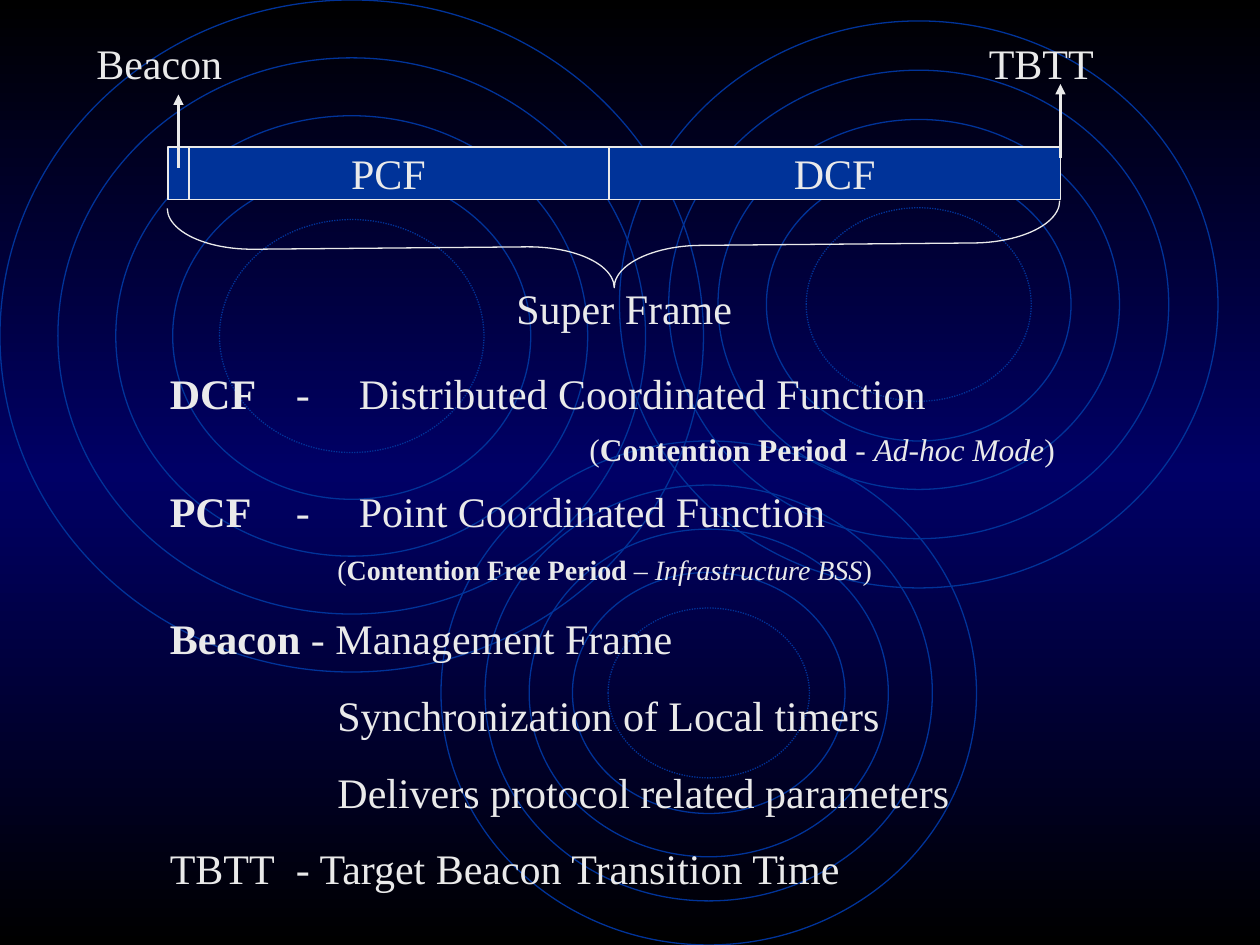
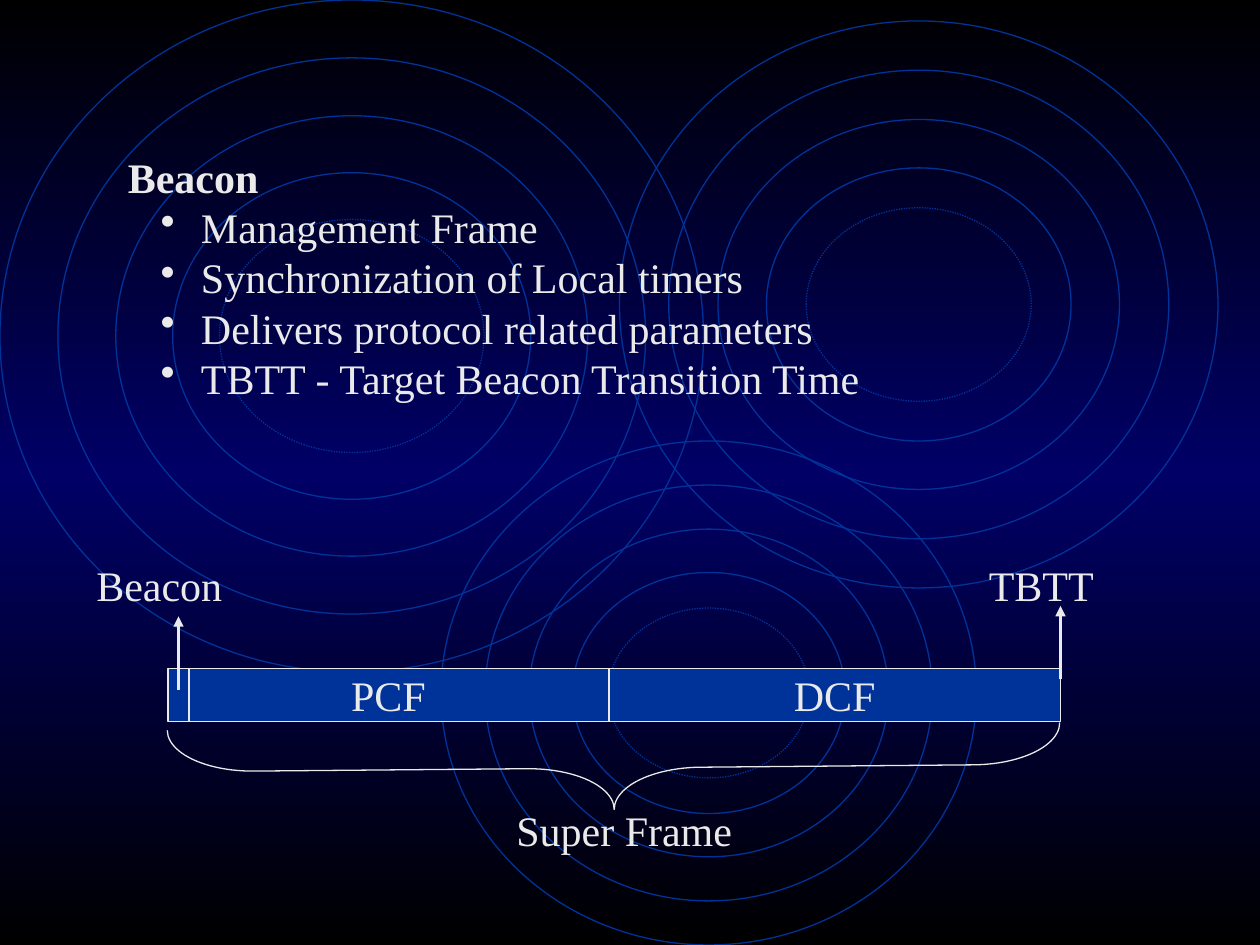
"""Two slides on the super frame: its coordination functions and its beacon."""
from dataclasses import dataclass

import pptx
import pptx.dml.color
import pptx.enum.dml
import pptx.enum.shapes
import pptx.enum.text
import pptx.oxml.ns
import pptx.oxml.xmlchemy
import pptx.util
from lxml import etree

COLORS = {"black": "000000", "navy": "000066", "blue": "003399", "text": "EAEAEA"}
FONT = "Times New Roman"
SIZE = 24
LEADING = 28.8
CELL = 1 / 12
RING_STEPS = (0, 0.0823, 0.1646, 0.2455, 0.312)
BOLD = {"bold": True}
qn = pptx.oxml.ns.qn
Inches, Pt = pptx.util.Inches, pptx.util.Pt
MSO_SHAPE = pptx.enum.shapes.MSO_SHAPE
PP_ALIGN = pptx.enum.text.PP_ALIGN


@dataclass(frozen=True)
class Box:
    """A place on the grid, in columns and rows."""
    col: float
    row: float
    cols: float
    rows: float

    def lengths(self) -> list:
        return [Inches(v * CELL) for v in (self.col, self.row, self.cols, self.rows)]

    def inset(self, d: float) -> "Box":
        return Box(self.col + d, self.row + d, self.cols - 2 * d, self.rows - 2 * d)


@dataclass(frozen=True)
class Line:
    """A paragraph: its runs with formats, spacing, indents and tab stops."""
    runs: tuple
    before: float = 0
    left: float = 0
    hang: float = 0
    tabs: tuple = ()
    bullet: bool = False
    align: PP_ALIGN = PP_ALIGN.LEFT


@dataclass(frozen=True)
class Label:
    """A text or bar segment with its place relative to the diagram."""
    text: str
    box: Box


@dataclass(frozen=True)
class Stroke:
    """A vertical line from one row to another."""
    col: float
    start: float
    end: float
    width: float
    arrow: bool


RIPPLES = (Box(0, 0, 67, 64), Box(42, 42, 51, 48), Box(59, 2, 57, 54))
SEGMENTS = (Label("PCF", Box(16, 14, 42, 5)), Label("DCF", Box(58, 14, 43, 5)))
CAPTIONS = (
    Label("Super Frame", Box(48, 26.3, 23, 6)),
    Label("Beacon", Box(8, 3, 17, 6)),
    Label("TBTT", Box(93, 3, 13, 6)),
)
STROKES = (
    Stroke(18, 14, 19, 0.75, False),
    Stroke(17, 16, 9, 1.5, True),
    Stroke(101, 15, 8, 1.5, True),
)
BRACE = Box(54.5, -19.06, 7.92, 85)
DIAGRAM_SHIFT = 49.7

TERMS = (
    Line((("DCF", BOLD), ("\t-\tDistributed Coordinated Function", {})), tabs=(1.1, 1.38)),
    Line((("(", {"size": Pt(18)}), ("Contention Period", {"size": Pt(18), **BOLD}),
          (" - ", {"size": Pt(18)}), ("Ad-hoc Mode", {"size": Pt(18), "italic": True}),
          (")", {"size": Pt(18)})), left=3.33),
    Line((("PCF", BOLD), ("\t-\tPoint Coordinated Function", {})), 10, tabs=(1.06, 1.34)),
    Line((("(", {"size": Pt(16)}), ("Contention Free Period", {"size": Pt(16), **BOLD}),
          (" – ", {"size": Pt(16)}), ("Infrastructure BSS", {"size": Pt(16), "italic": True}),
          (")", {"size": Pt(16)})), left=1.33),
    Line((("Beacon", BOLD), (" - Management Frame", {})), 15),
    Line((("Synchronization of Local timers", {}),), 15, 1.33),
    Line((("Delivers protocol related parameters", {}),), 15, 1.33),
    Line((("TBTT\t- Target Beacon Transition Time", {}),), 15, tabs=(1.17,)),
)
BEACON_DUTIES = (
    "Management Frame",
    "Synchronization of Local timers",
    "Delivers protocol related parameters",
    "TBTT - Target Beacon Transition Time",
)


def rgb(name: str) -> pptx.dml.color.RGBColor:
    """Return a named colour."""
    return pptx.dml.color.RGBColor.from_string(COLORS[name])


def write(tf, lines: tuple) -> None:
    """Fill a text frame with lines."""
    for i, line in enumerate(lines):
        p = tf.paragraphs[0] if i == 0 else tf.add_paragraph()
        ppr = p._p.get_or_add_pPr()
        ppr.set("marL", str(Inches(line.left)))
        ppr.set("indent", str(Inches(line.hang)))
        if line.bullet:
            color = etree.SubElement(ppr, qn("a:buClr"))
            etree.SubElement(color, qn("a:srgbClr"), val=COLORS["text"])
            etree.SubElement(ppr, qn("a:buChar"), char="•")
        if line.tabs:
            stops = etree.SubElement(ppr, qn("a:tabLst"))
            for tab in line.tabs:
                etree.SubElement(stops, qn("a:tab"), pos=str(Inches(tab)), algn="l")
        p.alignment, p.line_spacing = line.align, Pt(LEADING)
        if line.before:
            p.space_before = Pt(line.before)
        for text, style in line.runs:
            r = p.add_run()
            r.text = text
            for key, value in {"name": FONT, "size": Pt(SIZE), **style}.items():
                setattr(r.font, key, value)
            r.font.color.rgb = rgb("text")


def add_text(s, box: Box, lines: tuple) -> None:
    """Add a wrapping text box."""
    tf = s.shapes.add_textbox(*box.lengths()).text_frame
    tf.word_wrap = True
    write(tf, lines)


def add_outline(s, kind: MSO_SHAPE, box: Box, color: str):
    """Add an unfilled shape with a thin line."""
    sp = s.shapes.add_shape(kind, *box.lengths())
    sp.shadow.inherit = False
    sp.fill.background()
    sp.line.color.rgb = rgb(color)
    sp.line.width = Pt(0.75)
    return sp


def add_stroke(s, stroke: Stroke, shift: float) -> None:
    """Add a vertical line, with an arrowhead if asked for."""
    x, y1, y2 = (Inches(v * CELL) for v in (stroke.col, stroke.start + shift, stroke.end + shift))
    sp = s.shapes.add_connector(pptx.enum.shapes.MSO_CONNECTOR.STRAIGHT, x, y1, x, y2)
    sp.line.color.rgb = rgb("text")
    sp.line.width = Pt(stroke.width)
    if stroke.arrow:
        etree.SubElement(sp.line._get_or_add_ln(), qn("a:tailEnd"), type="triangle")
    etree.SubElement(sp._element.spPr, qn("a:effectLst"))


def add_backdrop(s) -> None:
    """Paint the gradient and the three sets of ripples."""
    fill = s.background.fill
    fill.gradient()
    fill.gradient_angle = 270
    stops = s._element.find(".//" + qn("a:gsLst"))
    for stop in list(stops):
        stops.remove(stop)
    for share, color in ((0, "black"), (50, "navy"), (100, "black")):
        stop = etree.SubElement(stops, qn("a:gs"), pos=str(share * 1000))
        etree.SubElement(stop, qn("a:srgbClr"), val=COLORS[color])
    for ripple in RIPPLES:
        for step in RING_STEPS:
            sp = add_outline(s, MSO_SHAPE.OVAL, ripple.inset(step * ripple.cols), "blue")
        sp.line.dash_style = pptx.enum.dml.MSO_LINE.ROUND_DOT


def add_diagram(s, shift: float) -> None:
    """Draw the super frame, moved down by some rows."""
    def moved(box: Box) -> Box:
        return Box(box.col, box.row + shift, box.cols, box.rows)

    for segment in SEGMENTS:
        sp = add_outline(s, MSO_SHAPE.RECTANGLE, moved(segment.box), "text")
        sp.fill.solid()
        sp.fill.fore_color.rgb = rgb("blue")
        sp.text_frame.word_wrap = False
        sp.text_frame.vertical_anchor = pptx.enum.text.MSO_ANCHOR.MIDDLE
        write(sp.text_frame, (Line(((segment.text, {}),), align=PP_ALIGN.CENTER),))
    brace = add_outline(s, MSO_SHAPE.RIGHT_BRACE, moved(BRACE), "text")
    brace.rotation = 89.5
    brace.adjustments[0] = 1.04
    for stroke in STROKES:
        add_stroke(s, stroke, shift)
    for caption in CAPTIONS:
        add_text(s, moved(caption.box), (Line(((caption.text, {}),)),))


def main() -> None:
    """Build and save the slides."""
    prs = pptx.Presentation()
    prs.slide_width, prs.slide_height = Inches(10), Inches(7.5)
    duties = tuple(Line(((t, {}),), left=0.58, hang=-0.32, bullet=True) for t in BEACON_DUTIES)
    pages = (
        (0, Box(15, 34.4, 90, 51.2), TERMS),
        (DIAGRAM_SHIFT, Box(11, 13.8, 94, 25.2), (Line((("Beacon", BOLD),)), *duties)),
    )
    for shift, box, lines in pages:
        s = prs.slides.add_slide(prs.slide_layouts[6])
        add_backdrop(s)
        add_diagram(s, shift)
        add_text(s, box, lines)
    prs.save("out.pptx")


if __name__ == "__main__":
    main()
